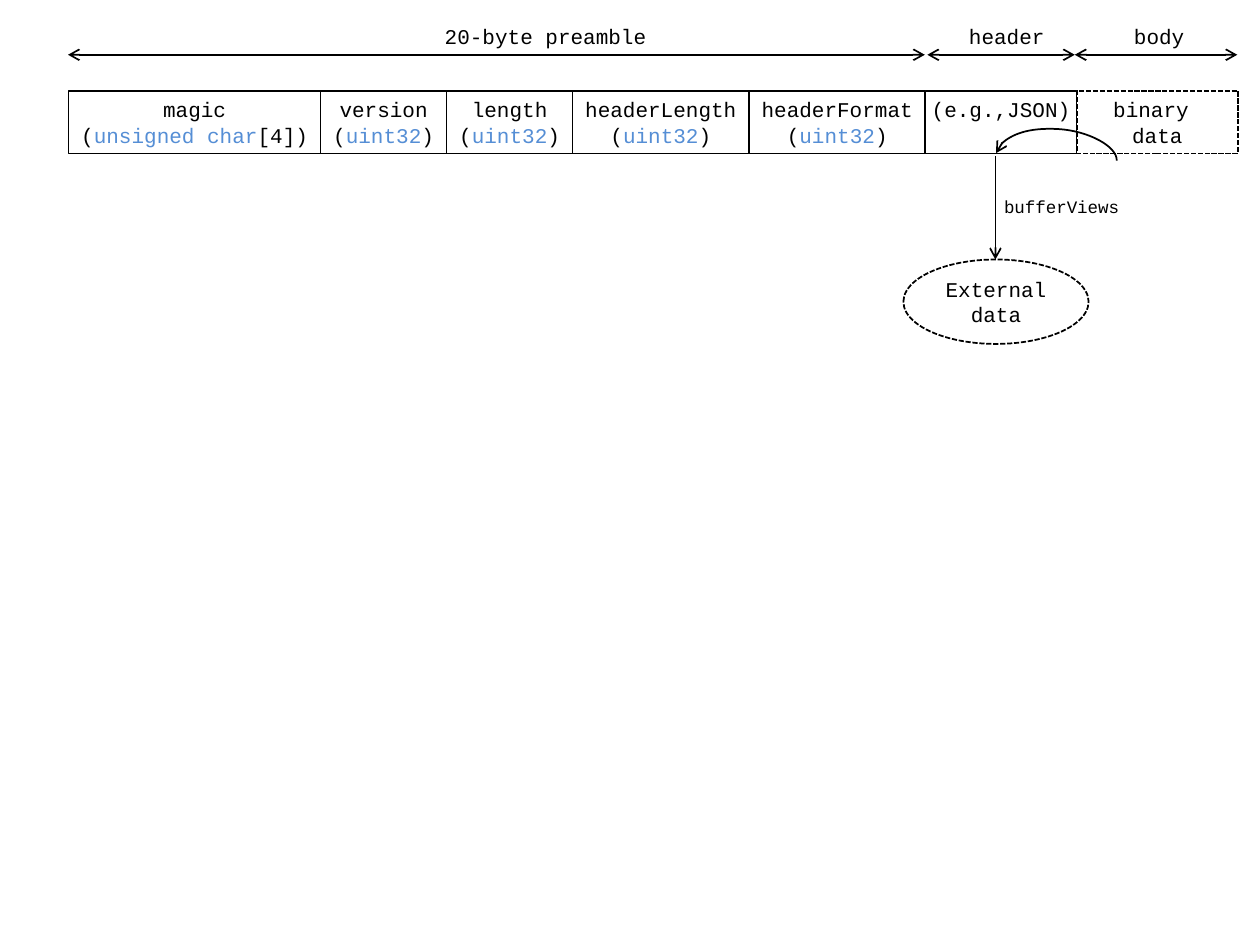
from lxml import etree
from pptx import Presentation
from pptx.dml.color import RGBColor
from pptx.enum.dml import MSO_LINE
from pptx.enum.shapes import MSO_CONNECTOR, MSO_SHAPE
from pptx.enum.text import MSO_ANCHOR, PP_ALIGN
from pptx.oxml.ns import qn
from pptx.util import Inches, Pt

RECTANGLE, OVAL = MSO_SHAPE.RECTANGLE, MSO_SHAPE.OVAL
STRAIGHT, CURVE = MSO_CONNECTOR.STRAIGHT, MSO_CONNECTOR.CURVE
DASHED = MSO_LINE.SQUARE_DOT
TOP, MIDDLE = MSO_ANCHOR.TOP, MSO_ANCHOR.MIDDLE
CENTER = PP_ALIGN.CENTER
COLORS = {name: RGBColor.from_string(value) for name, value in
          {"ink": "000000", "type": "558ED5", "paper": "FFFFFF"}.items()}


class Diagram:
    """Draws on a grid of 100 columns by 75 rows."""
    font = "Courier New"
    size = 12
    stroke = Pt(1)
    columns, rows = 100, 75

    def __init__(self, deck):
        self.page = deck.slides.add_slide(deck.slide_layouts[6])
        self.column = deck.slide_width / self.columns
        self.row = deck.slide_height / self.rows

    def place(self, left, top, width, height):
        return (round(left * self.column), round(top * self.row),
                round(width * self.column), round(height * self.row))

    def set_text(self, shape, lines, size=None, wrap=False, anchor=TOP):
        """Each line is a list of (text, colour name) pairs."""
        frame = shape.text_frame
        frame.word_wrap = wrap
        frame.vertical_anchor = anchor
        for number, spans in enumerate(lines):
            para = frame.add_paragraph() if number else frame.paragraphs[0]
            para.alignment = CENTER
            para.font.name = self.font
            para.font.size = Pt(size or self.size)
            for text, color in spans:
                span = para.add_run()
                span.text = text
                span.font.color.rgb = COLORS[color]

    def shape(self, kind, place, lines, fill=None, dashed=False, **style):
        box = self.page.shapes.add_shape(kind, *self.place(*place))
        box.shadow.inherit = False
        if fill:
            box.fill.solid()
            box.fill.fore_color.rgb = COLORS[fill]
        else:
            box.fill.background()
        box.line.color.rgb = COLORS["ink"]
        box.line.width = self.stroke
        if dashed:
            box.line.dash_style = DASHED
        self.set_text(box, lines, **style)

    def label(self, text, place, size=None):
        box = self.page.shapes.add_textbox(*self.place(*place))
        self.set_text(box, [[(text, "ink")]], size)

    def arrow(self, start, end, both=False, kind=STRAIGHT):
        ends = self.place(*start, *end)
        arrow = self.page.shapes.add_connector(kind, *ends)
        arrow.line.color.rgb = COLORS["ink"]
        arrow.line.width = self.stroke
        properties = arrow._element.spPr
        line = properties.find(qn("a:ln"))
        for tag in ("a:headEnd", "a:tailEnd") if both else ("a:tailEnd",):
            etree.SubElement(line, qn(tag), type="arrow")
        etree.SubElement(properties, qn("a:effectLst"))
        return arrow

    def arc(self, start, end, degrees, bulge):
        """A curved arrow, turned; bulge is in widths of its frame."""
        properties = self.arrow(start, end, kind=CURVE)._element.spPr
        properties.find(qn("a:xfrm")).set("rot", str(degrees * 60000))
        guides = properties.find(qn("a:prstGeom")).find(qn("a:avLst"))
        etree.SubElement(guides, qn("a:gd"), name="adj1",
                         fmla=f"val {bulge * 100000}")


def typed(name, kind, suffix=""):
    return [[(name, "ink")],
            [("(", "ink"), (kind, "type"), (suffix + ")", "ink")]]


def main():
    deck = Presentation()
    deck.slide_width, deck.slide_height = Inches(10), Inches(7.5)
    diagram = Diagram(deck)

    # Byte layout: fields side by side
    fields = [
        (20, typed("magic", "unsigned char", "[4]"), False),
        (10, typed("version", "uint32"), False),
        (10, typed("length", "uint32"), False),
        (14, typed("headerLength", "uint32"), False),
        (14, typed("headerFormat", "uint32"), False),
        (12, [[("(e.g.,JSON)", "ink")]], False),
        (12.8, [[("binary ", "ink")], [("data", "ink")]], True),
    ]
    left = 5.45
    for width, lines, dashed in fields:
        diagram.shape(RECTANGLE, (left, 7.2, width, 5), lines, dashed=dashed)
        left += width

    # Section spans above the fields
    spans = [("20-byte preamble", 5.4, 73.4, 34.3, 18),
             ("header", 73.6, 85.3, 75.9, 8),
             ("body", 85.3, 98.2, 88, 8)]
    for text, start, end, label_left, label_width in spans:
        diagram.arrow((start, 4.35), (end, 4.35), both=True)
        diagram.label(text, (label_left, 1.4, label_width, 3))

    # Buffer views into the body and the external data
    diagram.shape(OVAL, (71.7, 20.6, 14.7, 6.7), [[("External data", "ink")]],
                  fill="paper", dashed=True, wrap=True, anchor=MIDDLE)
    diagram.arc((83.9, 7.6), (83.8, 17.2), degrees=93, bulge=23)
    diagram.arrow((79, 12.4), (79, 20.6))
    diagram.label("bufferViews", (78.7, 15.1, 11.1, 2.6), size=10)

    deck.save("out.pptx")


if __name__ == "__main__":
    main()
